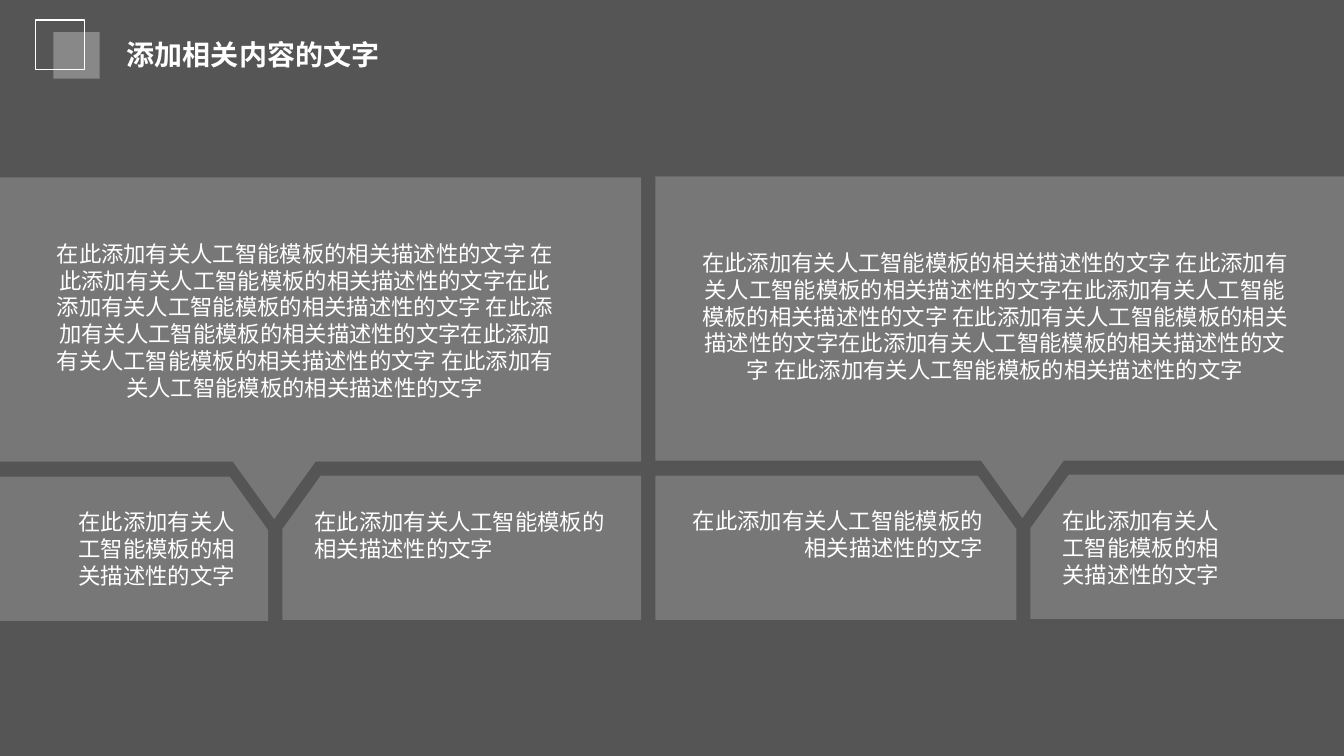
from dataclasses import dataclass

from lxml.etree import SubElement
from pptx import Presentation
from pptx.dml.color import RGBColor
from pptx.enum.shapes import MSO_SHAPE as Preset
from pptx.enum.text import MSO_AUTO_SIZE as Fit, PP_ALIGN as Align
from pptx.oxml.ns import qn
from pptx.shapes.autoshape import Shape
from pptx.slide import Slide
from pptx.util import Pt

PX = 9144  # 100 px to the inch
WIDTH, HEIGHT = 1333, 750
FONT = "Noto Sans CJK SC"
COLORS = {"white": "FFFFFF", "shade": "0D0D0D"}

TITLE = "添加相关内容的文字"
NOTE = "在此添加有关人工智能模板的相关描述性的文字"
STORY = f"{NOTE} {NOTE}" * 3

# Outlines of one panel, measured from its top left corner
BUBBLE = [(0, 0), (728, 0), (728, 282), (405, 282), (364, 339), (323, 282), (0, 282)]
LEFT = [(0, 297), (320, 297), (358, 350), (358, 440), (0, 440)]
RIGHT = [(728, 296), (410, 296), (372, 349), (372, 439), (728, 439)]


@dataclass
class Box:
    x: int
    y: int
    w: int
    h: int


@dataclass
class Label:
    text: str
    box: Box
    align: Align = Align.LEFT
    size: int = 16
    bold: bool = False


@dataclass
class Panel:
    x: int
    y: int
    labels: list[Label]


HEADING = Label(TITLE, Box(116, 32, 384, 44), size=20, bold=True)
PANELS = [
    Panel(-92, 176, [
        Label(STORY, Box(40, 233, 525, 172), Align.CENTER),
        Label(NOTE, Box(53, 499, 190, 91), Align.RIGHT),
        Label(NOTE, Box(302, 499, 311, 64)),
    ]),
    Panel(650, 175, [
        Label(STORY, Box(680, 242, 614, 145), Align.CENTER),
        Label(NOTE, Box(674, 498, 311, 64), Align.RIGHT),
        Label(NOTE, Box(1044, 498, 189, 91)),
    ]),
]


def paint(shape: Shape, color: str, alpha: int) -> None:
    """Fill without outline or shadow; alpha is the opacity in percent."""
    shape.shadow.inherit = False
    shape.line.fill.background()
    shape.fill.solid()
    shape.fill.fore_color.rgb = RGBColor.from_string(COLORS[color])
    tone = shape.fill._xPr.find(qn("a:solidFill"))[0]
    SubElement(tone, qn("a:alpha")).set("val", str(alpha * 1000))


def add_rect(slide: Slide, box: Box) -> Shape:
    return slide.shapes.add_shape(
        Preset.RECTANGLE, box.x * PX, box.y * PX, box.w * PX, box.h * PX)


def add_frame(slide: Slide, box: Box) -> None:
    frame = add_rect(slide, box)
    frame.shadow.inherit = False
    frame.fill.background()
    frame.line.color.rgb = RGBColor.from_string(COLORS["white"])
    frame.line.width = Pt(1)


def add_label(slide: Slide, label: Label) -> None:
    box = label.box
    area = slide.shapes.add_textbox(box.x * PX, box.y * PX, box.w * PX, box.h * PX)
    frame = area.text_frame
    frame.word_wrap = True
    frame.auto_size = Fit.SHAPE_TO_FIT_TEXT
    frame.text = label.text
    line = frame.paragraphs[0]
    line.alignment = label.align
    font = line.runs[0].font
    font.size = Pt(label.size)
    font.bold = label.bold
    font.color.rgb = RGBColor.from_string(COLORS["white"])
    font.name = FONT
    SubElement(font._element, qn("a:ea")).set("typeface", FONT)


def add_panel(slide: Slide, panel: Panel) -> None:
    for outline in (BUBBLE, LEFT, RIGHT):
        points = [(panel.x + x, panel.y + y) for x, y in outline]
        pen = slide.shapes.build_freeform(*points[0], scale=PX)
        pen.add_line_segments(points[1:], close=True)
        paint(pen.convert_to_shape(), "white", 20)
    for label in panel.labels:
        add_label(slide, label)


def main() -> None:
    deck = Presentation()
    deck.slide_width, deck.slide_height = WIDTH * PX, HEIGHT * PX
    slide = deck.slides.add_slide(deck.slide_layouts[6])
    paint(add_rect(slide, Box(0, 0, WIDTH, HEIGHT)), "shade", 70)
    add_frame(slide, Box(35, 20, 49, 49))
    paint(add_rect(slide, Box(53, 32, 46, 46)), "white", 30)
    add_label(slide, HEADING)
    for panel in PANELS:
        add_panel(slide, panel)
    deck.save("out.pptx")


if __name__ == "__main__":
    main()
